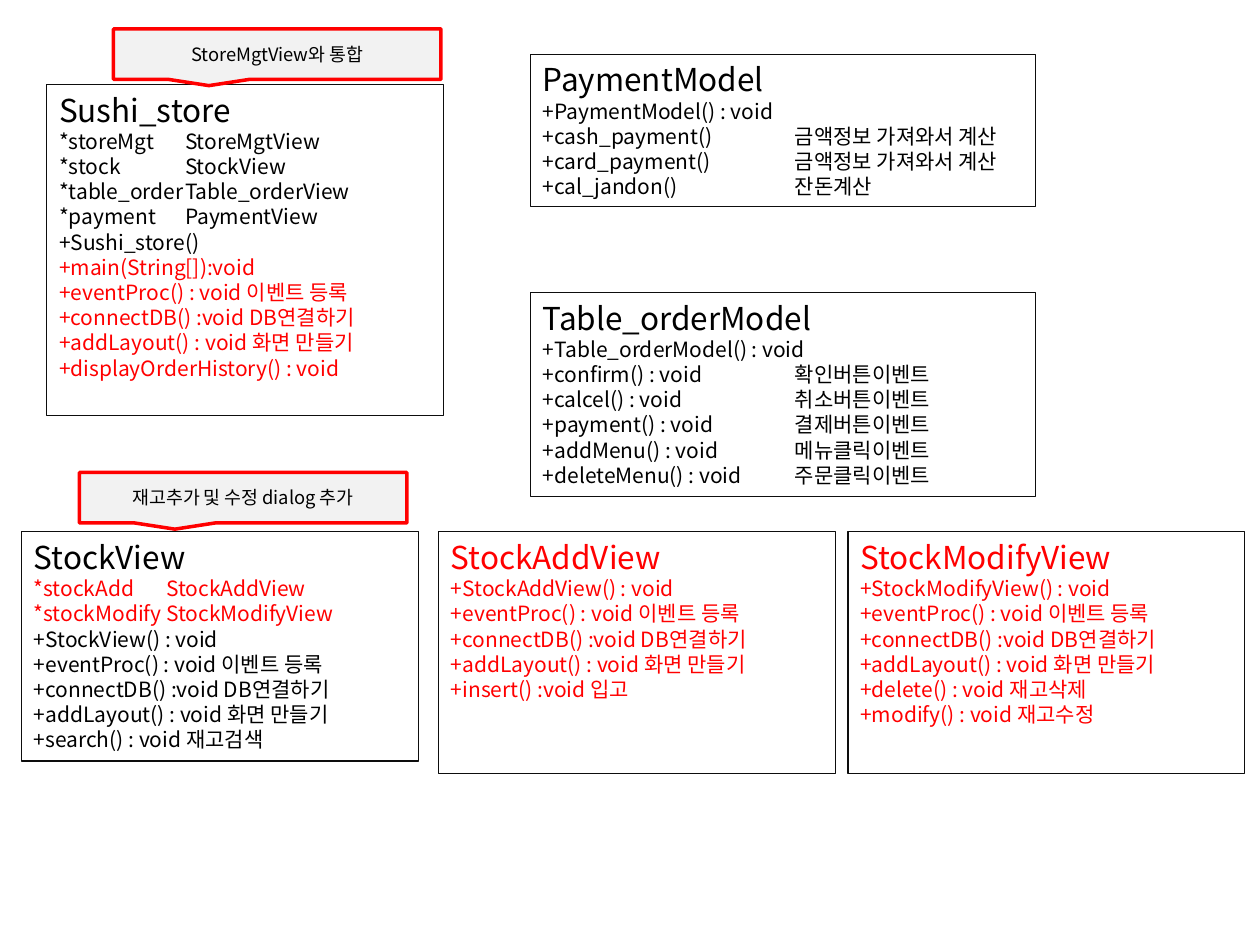
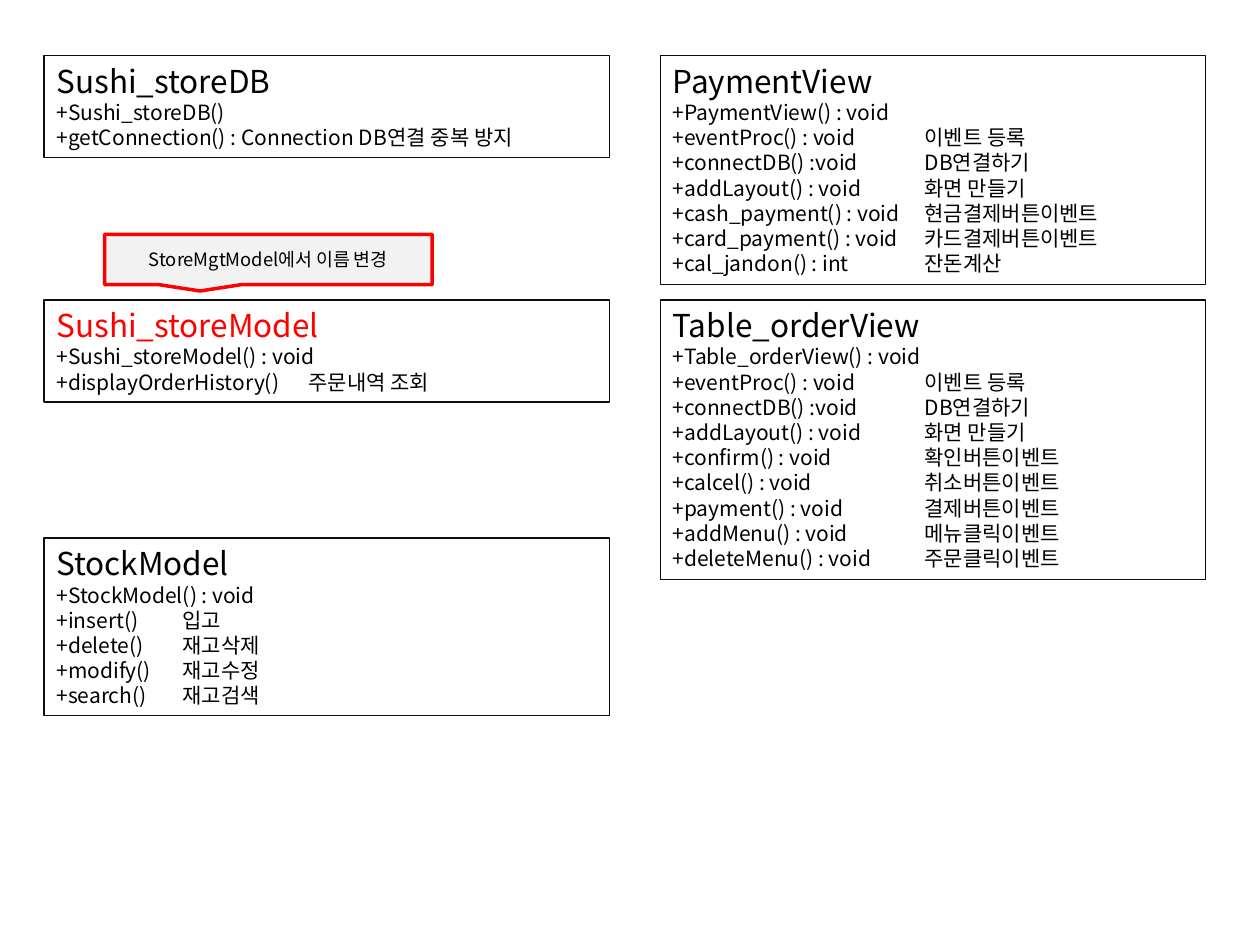
"""Build two slides of class boxes for a sushi store program, with change notes."""

import dataclasses

import lxml.etree
import pptx
import pptx.dml.color
import pptx.enum.shapes
import pptx.enum.text
import pptx.oxml.ns
import pptx.slide
import pptx.text.text
import pptx.util

Inches = pptx.util.Inches
Pt = pptx.util.Pt
RGBColor = pptx.dml.color.RGBColor
Alignment = pptx.enum.text.PP_ALIGN
Anchor = pptx.enum.text.MSO_ANCHOR
Preset = pptx.enum.shapes.MSO_SHAPE
qualified = pptx.oxml.ns.qn


@dataclasses.dataclass(frozen=True)
class Theme:
    font: str = "Noto Sans CJK KR"
    text: RGBColor = RGBColor(0x00, 0x00, 0x00)
    changed: RGBColor = RGBColor(0xFF, 0x00, 0x00)
    border: RGBColor = RGBColor(0x0D, 0x0D, 0x0D)
    note_fill: RGBColor = RGBColor(0xF2, 0xF2, 0xF2)
    name_size: float = 18
    member_size: float = 12
    note_size: float = 10.5
    border_width: float = 0.75
    note_border_width: float = 2
    line_factor: float = 1.2


THEME = Theme()


@dataclasses.dataclass(frozen=True)
class ClassBox:
    left: float
    top: float
    width: float
    height: float
    name: str
    members: tuple[str, ...]
    changed_lines: range = range(0)
    tab: float = 2


@dataclasses.dataclass(frozen=True)
class Note:
    left: float
    top: float
    text: str
    width: float = 2.6
    height: float = 0.4


def view_members(separator: str) -> tuple[str, ...]:
    return (
        f"+eventProc() : void{separator}이벤트 등록",
        f"+connectDB() :void{separator}DB연결하기",
        f"+addLayout() : void{separator}화면 만들기",
    )


INLINE_VIEW = view_members(" ")
TABBED_VIEW = view_members("\t")
ORDER_EVENTS = (
    "+confirm() : void\t확인버튼이벤트",
    "+calcel() : void\t취소버튼이벤트",
    "+payment() : void\t결제버튼이벤트",
    "+addMenu() : void\t메뉴클릭이벤트",
    "+deleteMenu() : void\t주문클릭이벤트",
)
EVERY_LINE = range(20)

SLIDES: tuple[tuple[ClassBox | Note, ...], ...] = (
    (
        ClassBox(0.37, 0.67, 3.15, 2.63, "Sushi_store", (
            "*storeMgt\tStoreMgtView",
            "*stock\tStockView",
            "*table_order\tTable_orderView",
            "*payment\tPaymentView",
            "+Sushi_store()",
            "+main(String[]):void",
            *INLINE_VIEW,
            "+displayOrderHistory() : void",
        ), changed_lines=range(6, 11), tab=1),
        ClassBox(0.17, 4.22, 3.15, 1.82, "StockView", (
            "*stockAdd\tStockAddView",
            "*stockModify\tStockModifyView",
            "+StockView() : void",
            *INLINE_VIEW,
            "+search() : void 재고검색",
        ), changed_lines=range(1, 3), tab=1.05),
        ClassBox(4.21, 0.43, 4.01, 1.21, "PaymentModel", (
            "+PaymentModel() : void",
            "+cash_payment()\t금액정보 가져와서 계산",
            "+card_payment()\t금액정보 가져와서 계산",
            "+cal_jandon()\t잔돈계산",
        )),
        ClassBox(4.21, 2.32, 4.01, 1.62, "Table_orderModel", (
            "+Table_orderModel() : void",
            *ORDER_EVENTS,
        )),
        ClassBox(3.48, 4.22, 3.15, 1.92, "StockAddView", (
            "+StockAddView() : void",
            *INLINE_VIEW,
            "+insert() :void 입고",
        ), changed_lines=EVERY_LINE),
        ClassBox(6.73, 4.22, 3.15, 1.92, "StockModifyView", (
            "+StockModifyView() : void",
            *INLINE_VIEW,
            "+delete() : void 재고삭제",
            "+modify() : void 재고수정",
        ), changed_lines=EVERY_LINE),
        Note(0.9, 0.23, "StoreMgtView와 통합"),
        Note(0.63, 3.75, "재고추가 및 수정 dialog 추가"),
    ),
    (
        ClassBox(0.35, 0.44, 4.49, 0.81, "Sushi_storeDB", (
            "+Sushi_storeDB()",
            "+getConnection() : Connection DB연결 중복 방지",
        )),
        ClassBox(0.35, 4.27, 4.49, 1.41, "StockModel", (
            "+StockModel() : void",
            "+insert()\t입고",
            "+delete()\t재고삭제",
            "+modify()\t재고수정",
            "+search()\t재고검색",
        ), tab=1),
        ClassBox(5.24, 0.44, 4.33, 1.82, "PaymentView", (
            "+PaymentView() : void",
            *TABBED_VIEW,
            "+cash_payment() : void\t현금결제버튼이벤트",
            "+card_payment() : void\t카드결제버튼이벤트",
            "+cal_jandon() : int\t잔돈계산",
        )),
        ClassBox(5.24, 2.38, 4.33, 2.22, "Table_orderView", (
            "+Table_orderView() : void",
            *TABBED_VIEW,
            *ORDER_EVENTS,
        )),
        ClassBox(0.35, 2.38, 4.49, 0.81, "Sushi_storeModel", (
            "+Sushi_storeModel() : void",
            "+displayOrderHistory()\t주문내역 조회",
        ), changed_lines=range(1)),
        Note(0.83, 1.86, "StoreMgtModel에서 이름 변경"),
    ),
)


def add_frame(slide: pptx.slide.Slide, item: ClassBox | Note, preset: Preset,
              color: RGBColor, line_width: float, anchor: Anchor):
    shape = slide.shapes.add_shape(
        preset, Inches(item.left), Inches(item.top), Inches(item.width), Inches(item.height))
    shape.shadow.inherit = False
    shape.line.color.rgb = color
    shape.line.width = Pt(line_width)
    shape.text_frame.word_wrap = True
    shape.text_frame.vertical_anchor = anchor
    return shape


def add_tab_stop(paragraph: pptx.text.text._Paragraph, position: float) -> None:
    tab_list = lxml.etree.SubElement(
        paragraph._p.get_or_add_pPr(), qualified("a:tabLst"))
    lxml.etree.SubElement(
        tab_list, qualified("a:tab"), pos=str(Inches(position)), algn="l")


def format_font(paragraph: pptx.text.text._Paragraph, size: float, color: RGBColor) -> None:
    font = paragraph.font
    font.size = Pt(size)
    font.color.rgb = color
    font.name = THEME.font
    lxml.etree.SubElement(font._rPr, qualified("a:ea"), typeface=THEME.font)


def draw_class_box(slide: pptx.slide.Slide, box: ClassBox) -> None:
    shape = add_frame(slide, box, Preset.RECTANGLE, THEME.border,
                      THEME.border_width, Anchor.TOP)
    shape.fill.background()
    frame = shape.text_frame
    for index, text in enumerate((box.name, *box.members)):
        paragraph = frame.add_paragraph() if index else frame.paragraphs[0]
        size = THEME.member_size if index else THEME.name_size
        paragraph.text = text
        paragraph.alignment = Alignment.LEFT
        paragraph.line_spacing = Pt(size * THEME.line_factor)
        if "\t" in text:
            add_tab_stop(paragraph, box.tab)
        color = THEME.changed if index in box.changed_lines else THEME.text
        format_font(paragraph, size, color)


def draw_note(slide: pptx.slide.Slide, note: Note) -> None:
    shape = add_frame(slide, note, Preset.RECTANGULAR_CALLOUT, THEME.changed,
                      THEME.note_border_width, Anchor.MIDDLE)
    shape.fill.solid()
    shape.fill.fore_color.rgb = THEME.note_fill
    paragraph = shape.text_frame.paragraphs[0]
    paragraph.text = note.text
    paragraph.alignment = Alignment.CENTER
    format_font(paragraph, THEME.note_size, THEME.text)


def main() -> None:
    presentation = pptx.Presentation()
    presentation.slide_width = Inches(10)
    presentation.slide_height = Inches(7.5)
    blank_layout = presentation.slide_layouts.get_by_name("Blank")
    for items in SLIDES:
        slide = presentation.slides.add_slide(blank_layout)
        for item in items:
            if isinstance(item, ClassBox):
                draw_class_box(slide, item)
            else:
                draw_note(slide, item)
    presentation.save("out.pptx")


if __name__ == "__main__":
    main()
